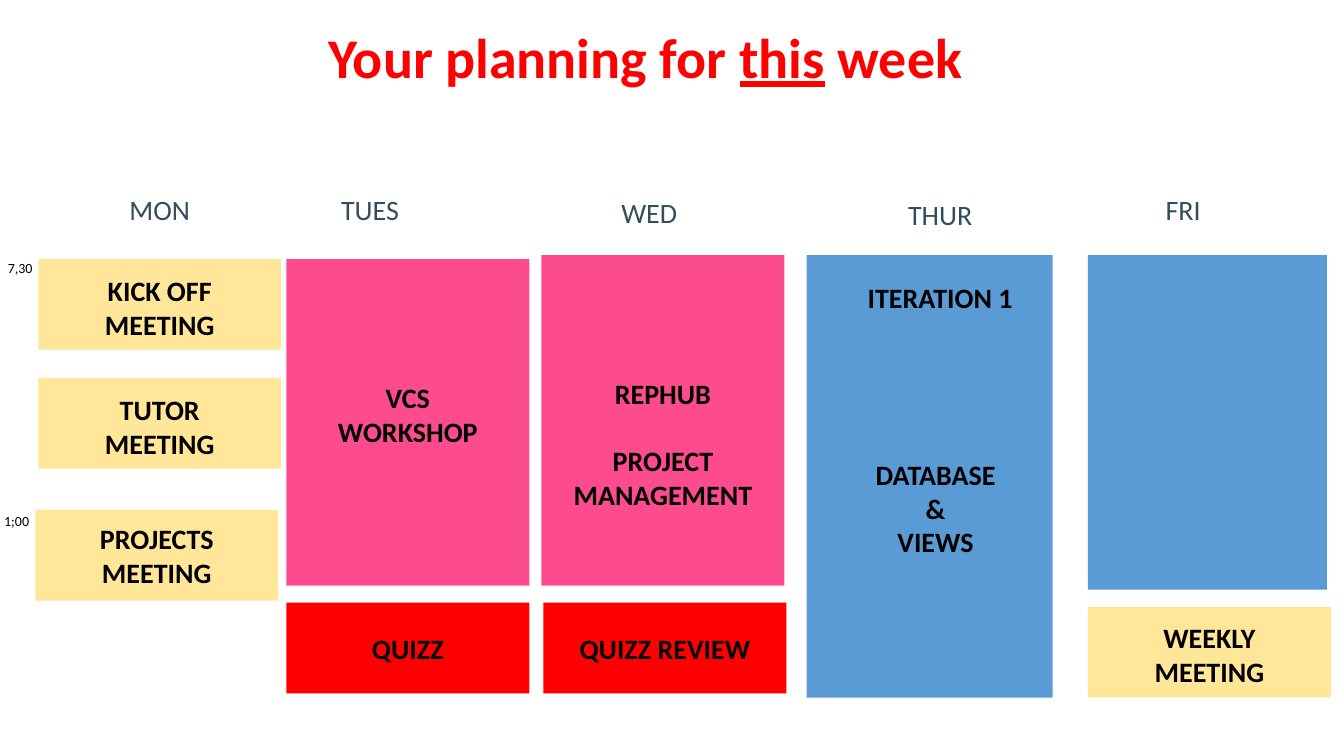
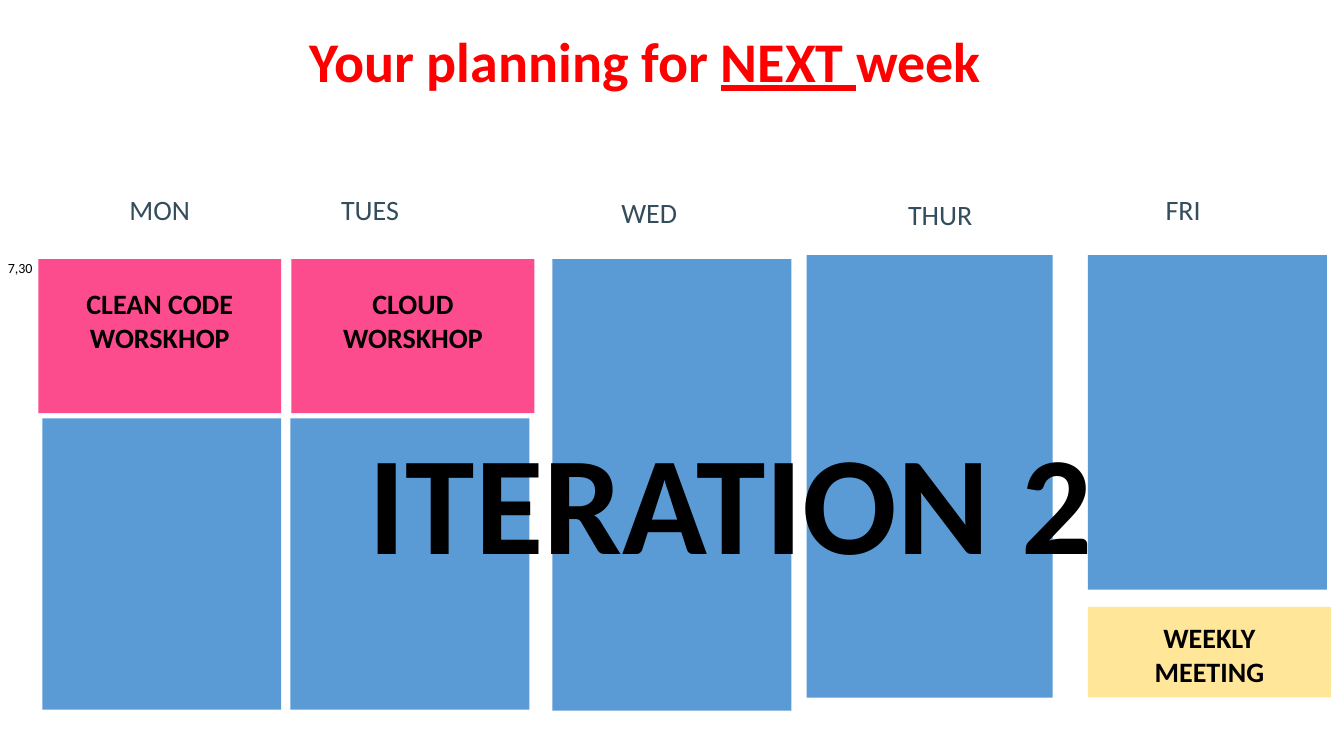
"""Build two weekly planning slides: this week and next week."""
from pptx import Presentation
from pptx.dml.color import RGBColor
from pptx.enum.shapes import MSO_SHAPE as SHAPE
from pptx.enum.text import MSO_ANCHOR as ANCHOR, MSO_AUTO_SIZE as AUTOSIZE, PP_ALIGN as ALIGN
from pptx.util import Inches, Pt

FONT = "Calibri"
COLORS = {
    "title": "FF0000",
    "day": "334D5C",
    "text": "000000",
    "meeting": "FFE699",
    "workshop": "FD4C8E",
    "quiz": "FF0000",
    "iteration": "5B9BD5",
}
BLOCK_W, PROJECT_W = 2.41, 2.37
MEETING_H = 0.9
DAYS = [
    ("MON", 1.18, 1.86, 0.81),
    ("TUES", 3.28, 1.86, 0.78),
    ("WED", 6.06, 1.89, 0.76),
    ("THUR", 8.9, 1.91, 0.85),
    ("FRI", 11.46, 1.86, 0.55),
]
SHARED_BLOCKS = [
    ("iteration", 8, 2.53, 2.44, 4.39, [], 0),
    ("iteration", 10.79, 2.53, PROJECT_W, 3.32, [], 0),
    ("meeting", 10.79, 6.02, BLOCK_W, MEETING_H, ["WEEKLY", "MEETING"], 0.02),
]
WEEKS = [
    {
        "title": ["Your planning for ", "this", " week"],
        "title_top": 0.17,
        "blocks": [
            ("meeting", 0.38, 2.57, BLOCK_W, MEETING_H, ["KICK OFF", "MEETING"], 0.03),
            ("meeting", 0.38, 3.75, BLOCK_W, MEETING_H, ["TUTOR", "MEETING"], 0.03),
            ("meeting", 0.35, 5.06, BLOCK_W, MEETING_H, ["PROJECTS", "MEETING"], 0),
            ("workshop", 2.84, 2.57, BLOCK_W, 3.24, ["VCS", "WORKSHOP"], -0.08),
            ("workshop", 5.37, 2.53, BLOCK_W, 3.28, ["REPHUB", "", "PROJECT", "MANAGEMENT"], 0.23),
            ("quiz", 2.84, 5.98, BLOCK_W, MEETING_H, ["QUIZZ"], 0),
            ("quiz", 5.39, 5.98, BLOCK_W, MEETING_H, ["QUIZZ REVIEW"], 0),
        ],
        "times": [("7,30", 2.53, 0.4), ("1;00", 5.04, 0.33)],
        "topics": [
            (["ITERATION 1"], 8.5, 2.73, 1.65, 0.44, 20),
            (["DATABASE", "&", "VIEWS"], 8.58, 4.49, 1.4, 1.11, 20),
        ],
    },
    {
        "title": ["Your planning for ", "NEXT ", "week"],
        "title_top": 0.21,
        "blocks": [
            ("workshop", 0.38, 2.57, BLOCK_W, 1.53, ["CLEAN CODE", "WORSKHOP"], -0.16),
            ("workshop", 2.89, 2.57, BLOCK_W, 1.53, ["CLOUD", "WORSKHOP"], -0.16),
            ("iteration", 0.42, 4.15, PROJECT_W, 2.89, [], 0),
            ("iteration", 2.88, 4.15, PROJECT_W, 2.89, [], 0),
            ("iteration", 5.48, 2.57, PROJECT_W, 4.48, [], 0),
        ],
        "times": [("7,30", 2.53, 0.4)],
        "topics": [(["ITERATION 2"], 3.52, 4.06, 7.45, 1.78, 100)],
    },
]


def write_lines(frame, lines, size, color="text", bold=True):
    """Write centred lines; an empty entry leaves a line-high gap."""
    frame.word_wrap = False
    frame.margin_left = frame.margin_right = 0
    paragraph = frame.paragraphs[0]
    gap = False
    for index, line in enumerate(lines):
        if not line:
            gap = True
            continue
        if index:
            paragraph = frame.add_paragraph()
        paragraph.alignment = ALIGN.CENTER
        if gap:
            paragraph.space_before = Pt(size * 1.22)
            gap = False
        run = paragraph.add_run()
        run.text = line
        run.font.name, run.font.size, run.font.bold = FONT, Pt(size), bold
        run.font.color.rgb = RGBColor.from_string(COLORS[color])


def add_label(slide, lines, left, top, width, height, size, color="text", bold=True):
    """Add a free-standing text box."""
    label = slide.shapes.add_textbox(Inches(left), Inches(top), Inches(width), Inches(height))
    write_lines(label.text_frame, lines, size, color, bold)


prs = Presentation()
prs.slide_width, prs.slide_height = Inches(13.33), Inches(7.5)
title_only = prs.slide_layouts[5]

for week in WEEKS:
    slide = prs.slides.add_slide(title_only)

    title = slide.shapes.title
    title.left, title.top = Inches(2.9), Inches(week["title_top"])
    title.width, title.height = Inches(7), Inches(0.77)
    heading = title.text_frame
    heading.auto_size = AUTOSIZE.NONE
    heading.vertical_anchor = ANCHOR.MIDDLE
    heading.paragraphs[0].alignment = ALIGN.CENTER
    for index, part in enumerate(week["title"]):
        run = heading.paragraphs[0].add_run()
        run.text = part
        run.font.name, run.font.size, run.font.bold = FONT, Pt(40), True
        run.font.underline = index == 1
        run.font.color.rgb = RGBColor.from_string(COLORS["title"])

    for day, left, top, width in DAYS:
        add_label(slide, [day], left, top, width, 0.44, 20, "day", False)

    for kind, left, top, width, height, lines, drop in week["blocks"] + SHARED_BLOCKS:
        block = slide.shapes.add_shape(
            SHAPE.RECTANGLE, Inches(left), Inches(top), Inches(width), Inches(height))
        block.shadow.inherit = False
        block.fill.solid()
        block.fill.fore_color.rgb = RGBColor.from_string(COLORS[kind])
        block.line.fill.background()
        frame = block.text_frame
        frame.vertical_anchor = ANCHOR.MIDDLE
        frame.margin_top = Inches(max(2 * drop, 0))
        frame.margin_bottom = Inches(max(-2 * drop, 0))
        write_lines(frame, lines, 20)

    for time, top, width in week["times"]:
        add_label(slide, [time], 0, top, width, 0.27, 10, bold=False)

    for lines, left, top, width, height, size in week["topics"]:
        add_label(slide, lines, left, top, width, height, size)

prs.save("out.pptx")
